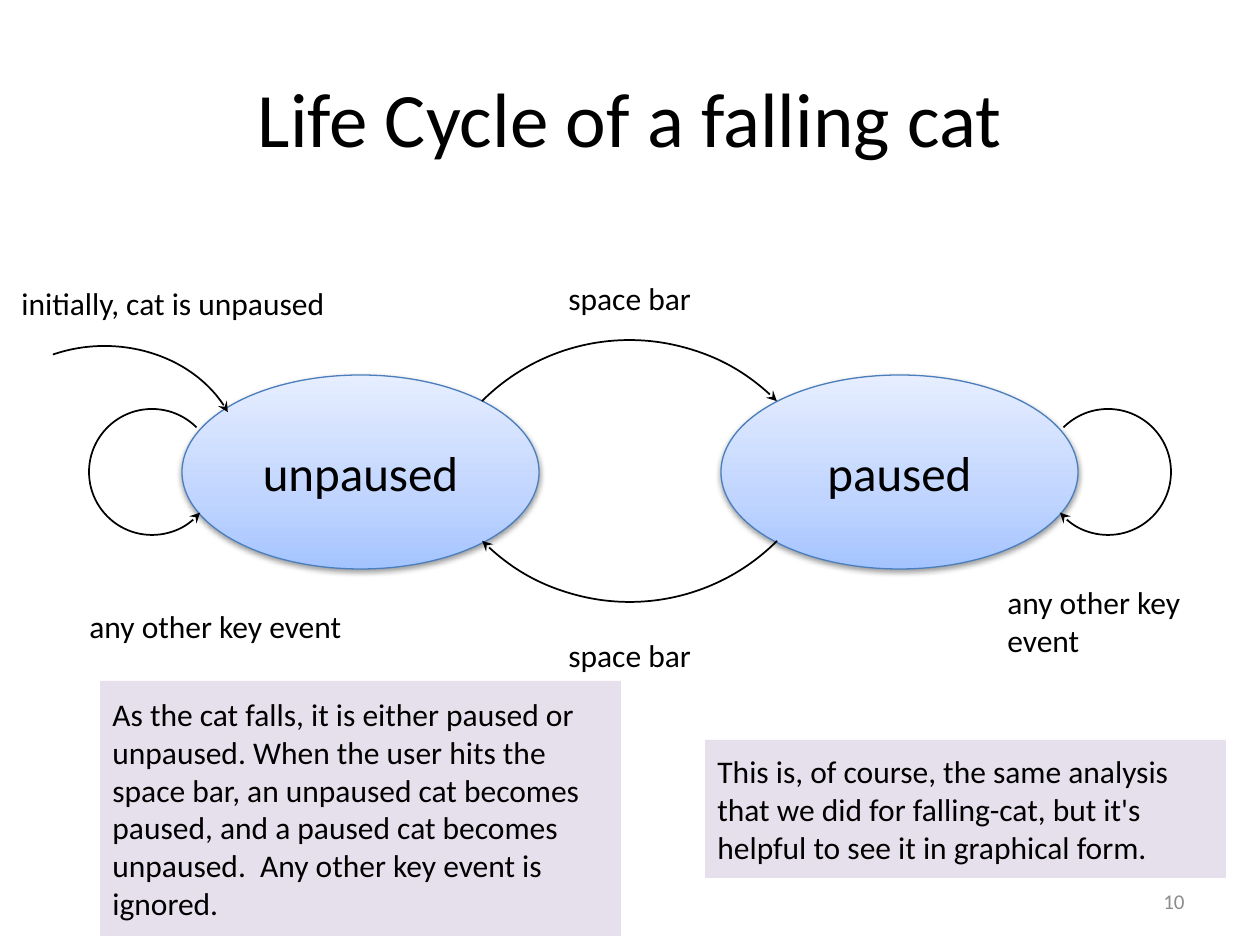
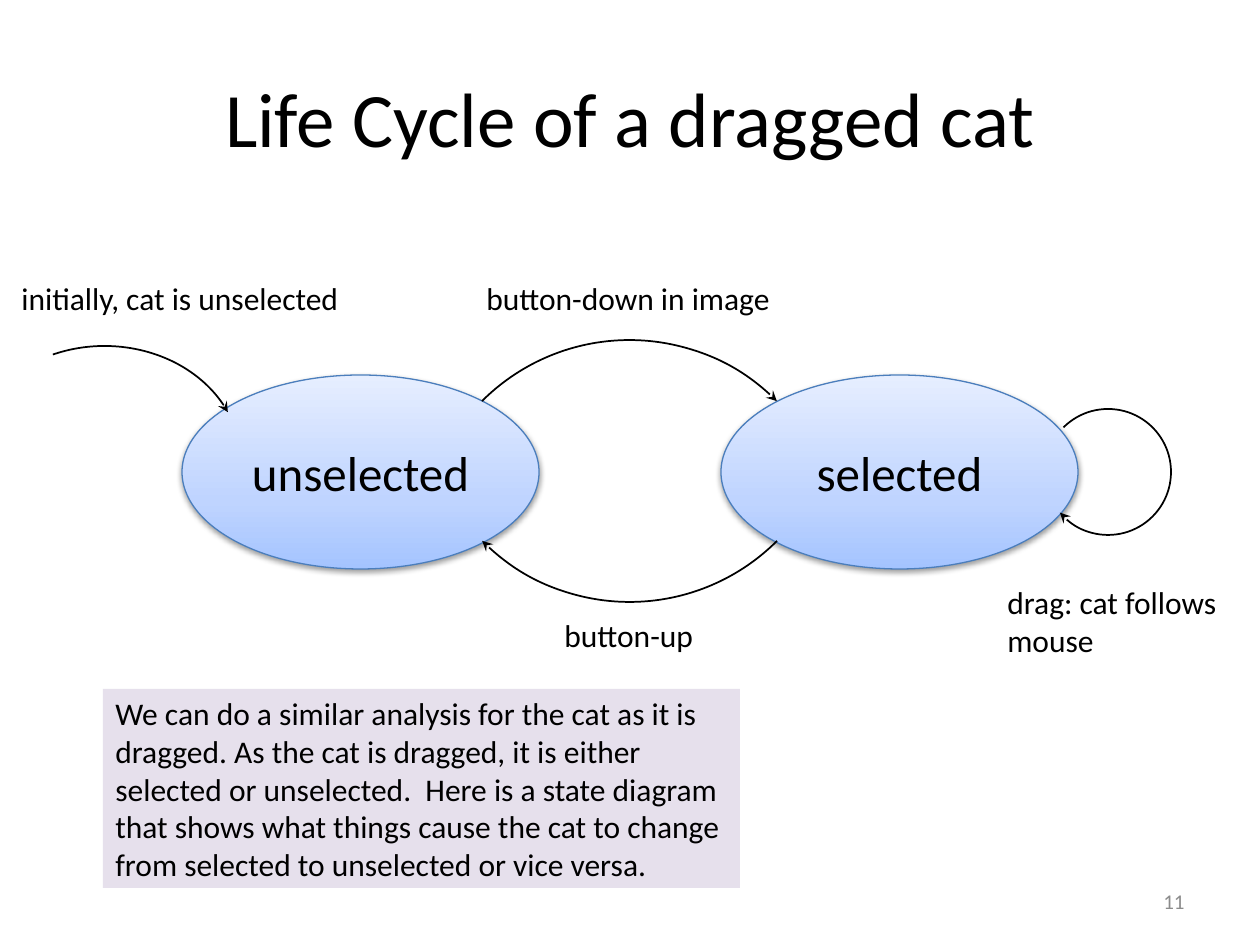
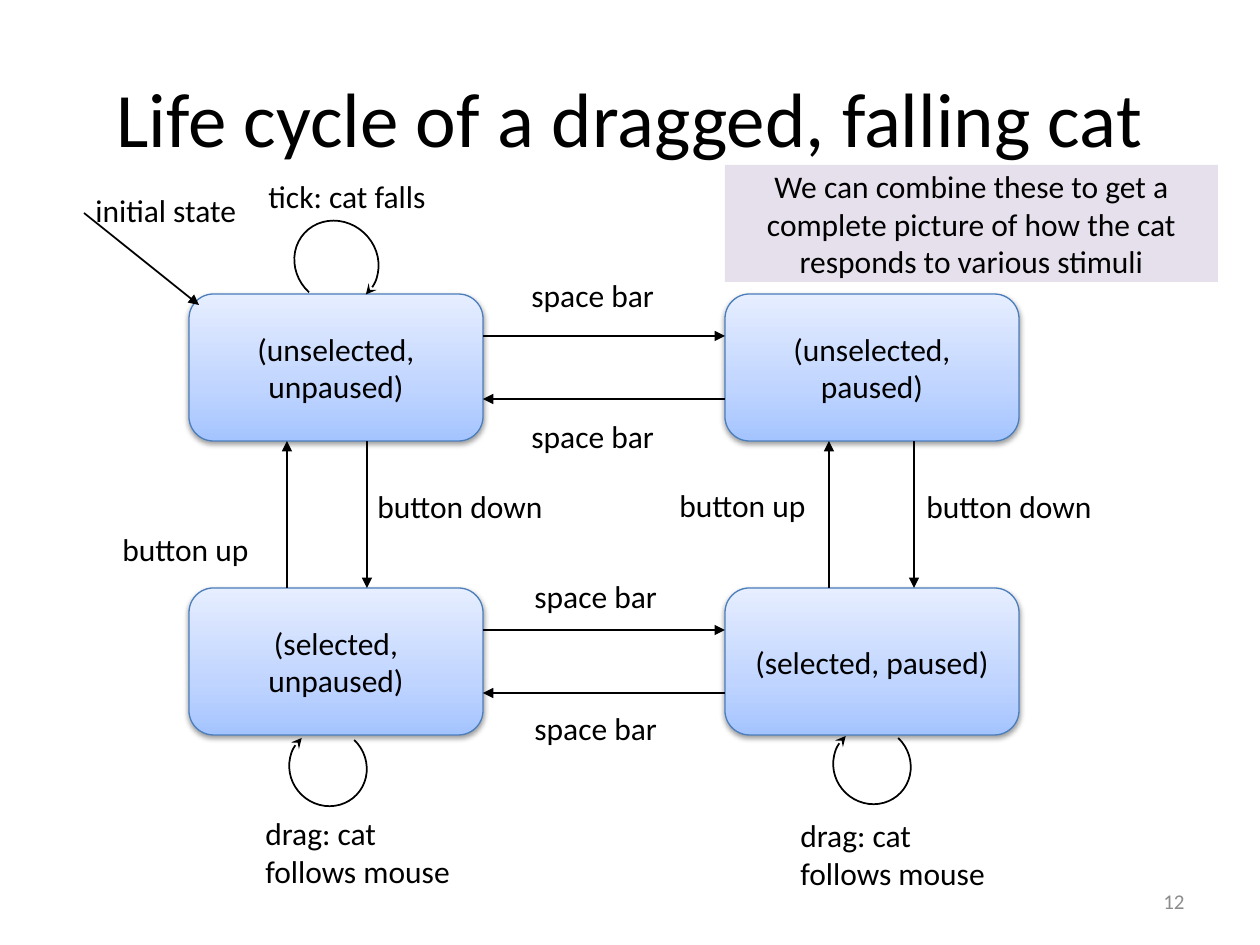
from collections import namedtuple
from dataclasses import dataclass

from lxml.etree import SubElement
from pptx import Presentation
from pptx.dml.color import RGBColor
from pptx.enum.shapes import MSO_CONNECTOR, MSO_SHAPE
from pptx.enum.text import MSO_ANCHOR, MSO_AUTO_SIZE, PP_ALIGN
from pptx.oxml.ns import qn
from pptx.util import Emu, Pt

PIXEL = 914400 / 126
Box = namedtuple("Box", "left top width height")


@dataclass(frozen=True)
class Theme:
    font: str = "Calibri"
    ink: str = "000000"
    state_line: str = "4B7EBC"
    note_fill: str = "E6E0EC"
    number_ink: str = "8C8C8C"
    state_stops: tuple = ((0, "A4C4FF"), (35, "BFD4FF"), (100, "E6EEFF"))
    title_size: int = 44
    state_size: int = 28
    body_size: int = 18
    number_size: int = 12


THEME = Theme()
TITLE_BOX = Box(63, 38, 1134, 158)
NUMBER_BOX = Box(903, 876, 294, 50)
TWO_STATE_BOX = Box(182, 375, 896, 194)
FOUR_STATE_BOX = Box(189, 294, 830, 441)
LINE_HEIGHT = 50
TWO_LINES = 89


# Basic parts
def px(length):
    return Emu(round(length * PIXEL))


def emu_box(box):
    return [px(length) for length in box]


def write_text(shape, text, *, size=THEME.body_size, color=THEME.ink,
               align=PP_ALIGN.LEFT, anchor=MSO_ANCHOR.MIDDLE, wrap=True,
               grow=False):
    frame = shape.text_frame
    frame.word_wrap = wrap
    frame.auto_size = MSO_AUTO_SIZE.SHAPE_TO_FIT_TEXT if grow else MSO_AUTO_SIZE.NONE
    frame.vertical_anchor = anchor
    paragraph = frame.paragraphs[0]
    paragraph.alignment = align
    run = paragraph.add_run()
    run.text = text
    run.font.name = THEME.font
    run.font.size = Pt(size)
    run.font.color.rgb = RGBColor.from_string(color)


def add_label(slide, text, left, top, width, height=LINE_HEIGHT, wrap=True):
    label = slide.shapes.add_textbox(*emu_box((left, top, width, height)))
    write_text(label, text, anchor=MSO_ANCHOR.TOP, wrap=wrap, grow=True)


def add_note(slide, text, box, align=PP_ALIGN.LEFT):
    note = slide.shapes.add_shape(MSO_SHAPE.RECTANGLE, *emu_box(box))
    note.shadow.inherit = False
    note.fill.solid()
    note.fill.fore_color.rgb = RGBColor.from_string(THEME.note_fill)
    note.line.fill.background()
    write_text(note, text, align=align)


def add_state(slide, kind, text, box, size):
    state = slide.shapes.add_shape(kind, *emu_box(box))
    state.line.color.rgb = RGBColor.from_string(THEME.state_line)
    state.line.width = Pt(0.75)
    # Three-stop gradient, darkest at the bottom
    state.fill.gradient()
    state.fill.gradient_angle = 90
    properties = state._element.spPr
    stops = properties.find(".//" + qn("a:gsLst"))
    for stop in list(stops):
        stops.remove(stop)
    for position, color in THEME.state_stops:
        stop = SubElement(stops, qn("a:gs"), pos=str(position * 1000))
        SubElement(stop, qn("a:srgbClr"), val=color)
    # Soft shadow below
    state.shadow.inherit = False
    shadow = SubElement(properties.find(qn("a:effectLst")), qn("a:outerShdw"),
                        blurRad="40000", dist="20000", dir="5400000", rotWithShape="0")
    shade = SubElement(shadow, qn("a:srgbClr"), val="000000")
    SubElement(shade, qn("a:alpha"), val="38000")
    write_text(state, text, size=size, align=PP_ALIGN.CENTER)


def style_arrow(shape, head):
    shape.line.color.rgb = RGBColor.from_string(THEME.ink)
    shape.line.width = Pt(1)
    SubElement(shape._element.spPr.find(qn("a:ln")), qn("a:tailEnd"), type=head)


def add_arrow(slide, start, end):
    arrow = slide.shapes.add_connector(
        MSO_CONNECTOR.STRAIGHT, *[px(length) for length in (*start, *end)])
    style_arrow(arrow, "triangle")
    SubElement(arrow._element.spPr, qn("a:effectLst"))


def add_arc(slide, box, rotation=0, start=270, end=0, mirrored=False):
    arc = slide.shapes.add_shape(MSO_SHAPE.ARC, *emu_box(box))
    arc.shadow.inherit = False
    arc.fill.background()
    # Arc angles are stored in 60000ths of a degree
    arc.adjustments[0] = start * 0.6
    arc.adjustments[1] = end * 0.6
    arc.rotation = rotation
    if mirrored:
        arc._element.spPr.find(qn("a:xfrm")).set("flipH", "1")
    style_arrow(arc, "stealth")


def add_loop(slide, box, rotation, mirrored=False):
    add_arc(slide, box, rotation, start=180, end=94.76, mirrored=mirrored)


# Slide frame: title and number
def add_slide(presentation, title, number):
    slide = presentation.slides.add_slide(presentation.slide_layouts[5])
    heading = slide.shapes.title
    heading.left, heading.top, heading.width, heading.height = emu_box(TITLE_BOX)
    write_text(heading, title, size=THEME.title_size, align=PP_ALIGN.CENTER)
    number_box = slide.shapes.add_textbox(*emu_box(NUMBER_BOX))
    write_text(number_box, str(number), size=THEME.number_size,
               color=THEME.number_ink, align=PP_ALIGN.RIGHT)
    return slide


# Two ellipses joined by arcs
def draw_two_states(slide, box, names, left_loop=False):
    width, arc_size, loop_size, overlap = 357, 417, 126, 33
    right, bottom = box.left + box.width, box.top + box.height
    for left, name in zip((box.left, right - width), names):
        add_state(slide, MSO_SHAPE.OVAL, name,
                  Box(left, box.top, width, box.height), THEME.state_size)
    # Entry arc
    add_arc(slide, Box(box.left - 214, box.top - 29, 273, 231), start=244.25, end=338.2)
    # Arcs between the states
    arc_left = box.left + (box.width - arc_size) // 2
    add_arc(slide, Box(arc_left, box.top - 35, arc_size, arc_size), 315)
    add_arc(slide, Box(arc_left, bottom + 33 - arc_size, arc_size, arc_size), 135)
    # Loops back to the same state
    loop_top = box.top + (box.height - loop_size) // 2
    add_loop(slide, Box(right - overlap, loop_top, loop_size, loop_size), 45)
    if left_loop:
        add_loop(slide, Box(box.left + overlap - loop_size, loop_top, loop_size, loop_size),
                 315, mirrored=True)


# Grid of four states joined by straight arrows
def draw_four_states(slide, box, names):
    width, height = 294, 147
    columns = (box.left, box.left + box.width - width)
    rows = (box.top, box.top + box.height - height)
    for top, row_names in zip(rows, names):
        for left, name in zip(columns, row_names):
            add_state(slide, MSO_SHAPE.ROUNDED_RECTANGLE, name,
                      Box(left, top, width, height), THEME.body_size)
        # Space bar arrows
        gap_start, gap_end = columns[0] + width, columns[1]
        add_arrow(slide, (gap_start, top + 42), (gap_end, top + 42))
        add_arrow(slide, (gap_end, top + 105), (gap_start, top + 105))
    # Button arrows and drag loops
    upper, lower = rows[0] + height, rows[1]
    bottom = box.top + box.height
    for left, up, down, loop, loop_rise in ((columns[0], 98, 178, 101, 7),
                                            (columns[1], 104, 189, 109, 9)):
        add_arrow(slide, (left + up, lower), (left + up, upper))
        add_arrow(slide, (left + down, upper), (left + down, lower))
        add_loop(slide, Box(left + loop, bottom - loop_rise, 76, 79), 133.6)
    # Tick loop and entry arrow
    add_loop(slide, Box(box.left + 107, box.top - 75, 81, 87), 312.7)
    add_arrow(slide, (box.left - 105, box.top - 81), (box.left + 10, box.top + 11))


def build_falling(presentation):
    slide = add_slide(presentation, "Life Cycle of a falling cat", 10)
    draw_two_states(slide, TWO_STATE_BOX, ("unpaused", "paused"), left_loop=True)
    add_label(slide, "initially, cat is unpaused", 9, 278, 333, wrap=False)
    for top in (273, 630):
        add_label(slide, "space bar", 556, top, 150, wrap=False)
    add_label(slide, "any other key event", 77, 601, 323)
    add_label(slide, "any other key event", 995, 577, 265, TWO_LINES)
    add_note(slide, "As the cat falls, it is either paused or unpaused. When the user "
             "hits the space bar, an unpaused cat becomes paused, and a paused cat "
             "becomes unpaused.  Any other key event is ignored.",
             Box(100, 681, 521, 255))
    add_note(slide, "This is, of course, the same analysis that we did for falling-cat, "
             "but it's helpful to see it in graphical form.", Box(705, 740, 521, 138))


def build_dragged(presentation):
    slide = add_slide(presentation, "Life Cycle of a dragged cat", 11)
    draw_two_states(slide, TWO_STATE_BOX, ("unselected", "selected"))
    add_label(slide, "initially, cat is unselected", 9, 273, 347, wrap=False)
    add_label(slide, "button-down in image", 474, 273, 312, wrap=False)
    add_label(slide, "button-up", 552, 610, 156, wrap=False)
    add_label(slide, "drag: cat follows mouse", 995, 577, 265, TWO_LINES)
    add_note(slide, "We can do a similar analysis for the cat as it is dragged. As the "
             "cat is dragged, it is either selected or unselected.  Here is a state "
             "diagram that shows what things cause the cat to change from selected to "
             "unselected or vice versa.", Box(103, 689, 637, 199))


def build_dragged_falling(presentation):
    slide = add_slide(presentation, "Life cycle of a dragged, falling cat", 12)
    draw_four_states(slide, FOUR_STATE_BOX, (
        ("(unselected, unpaused)", "(unselected, paused)"),
        ("(selected, unpaused)", "(selected, paused)")))
    add_label(slide, "initial state", 83, 185, 199)
    add_label(slide, "tick: cat falls", 256, 171, 183)
    for left, top in ((519, 270), (519, 411), (522, 571), (522, 703)):
        add_label(slide, "space bar", left, top, 170)
    for left, top in ((110, 524), (667, 480)):
        add_label(slide, "button up", left, top, 199)
    for left in (365, 914):
        add_label(slide, "button down", left, 481, 199)
    for left, top in ((253, 808), (788, 810)):
        add_label(slide, "drag: cat follows mouse", left, top, 226, TWO_LINES)
    add_note(slide, "We can combine these to get a complete picture of how the cat "
             "responds to various stimuli", Box(725, 165, 493, 117), PP_ALIGN.CENTER)


presentation = Presentation()
presentation.slide_width = px(1260)
presentation.slide_height = px(945)
build_falling(presentation)
build_dragged(presentation)
build_dragged_falling(presentation)
presentation.save("out.pptx")
